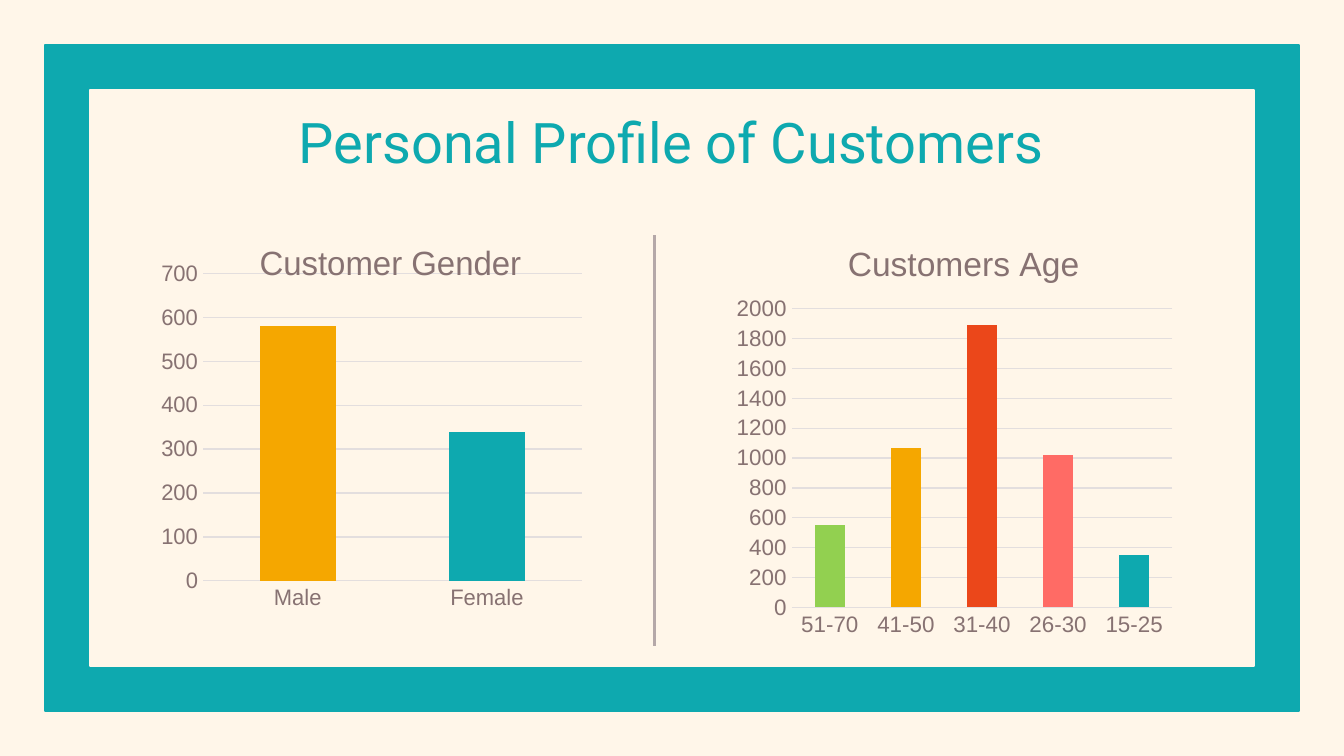
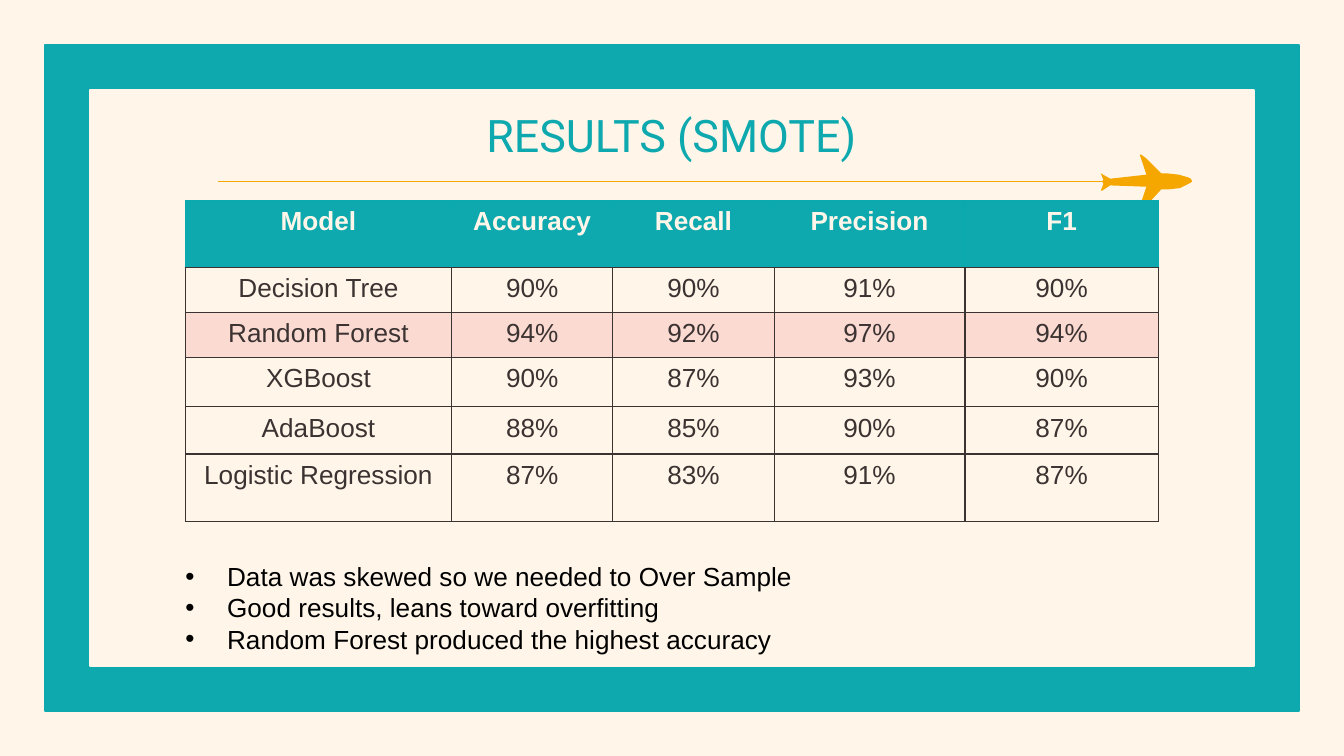
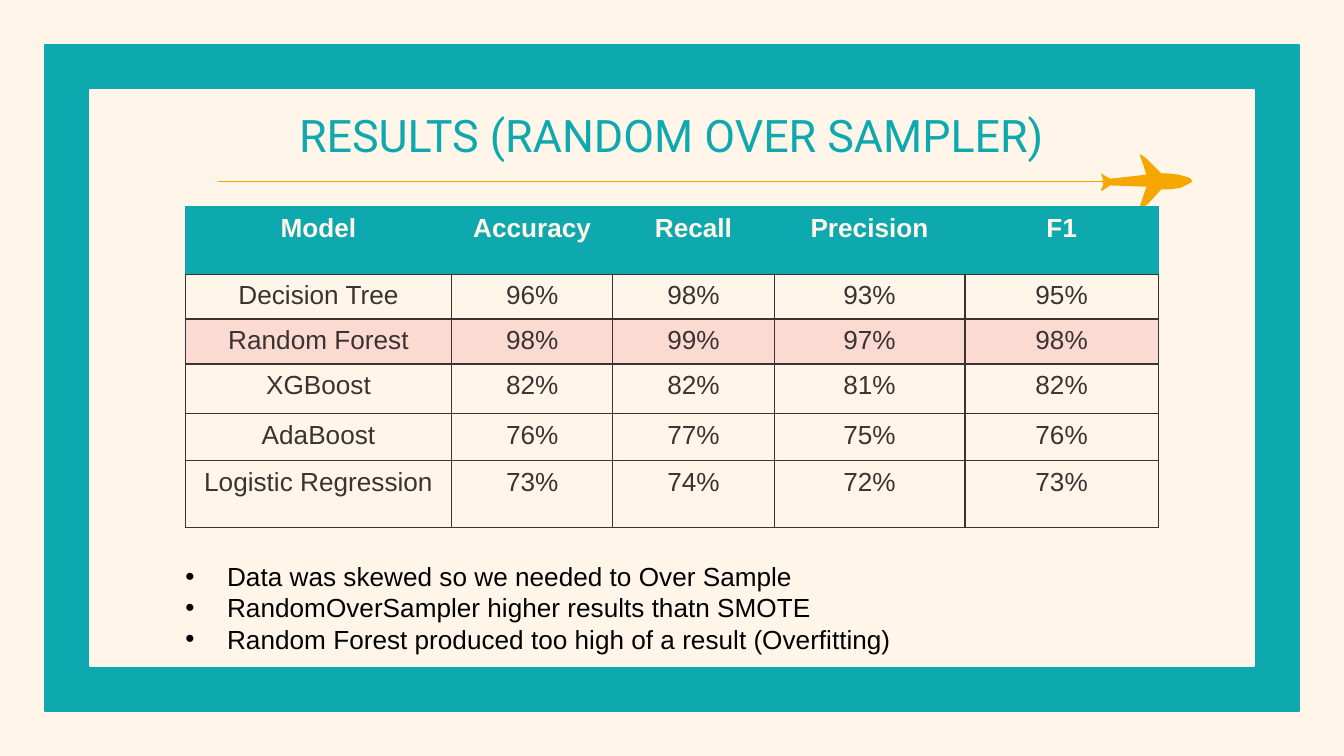
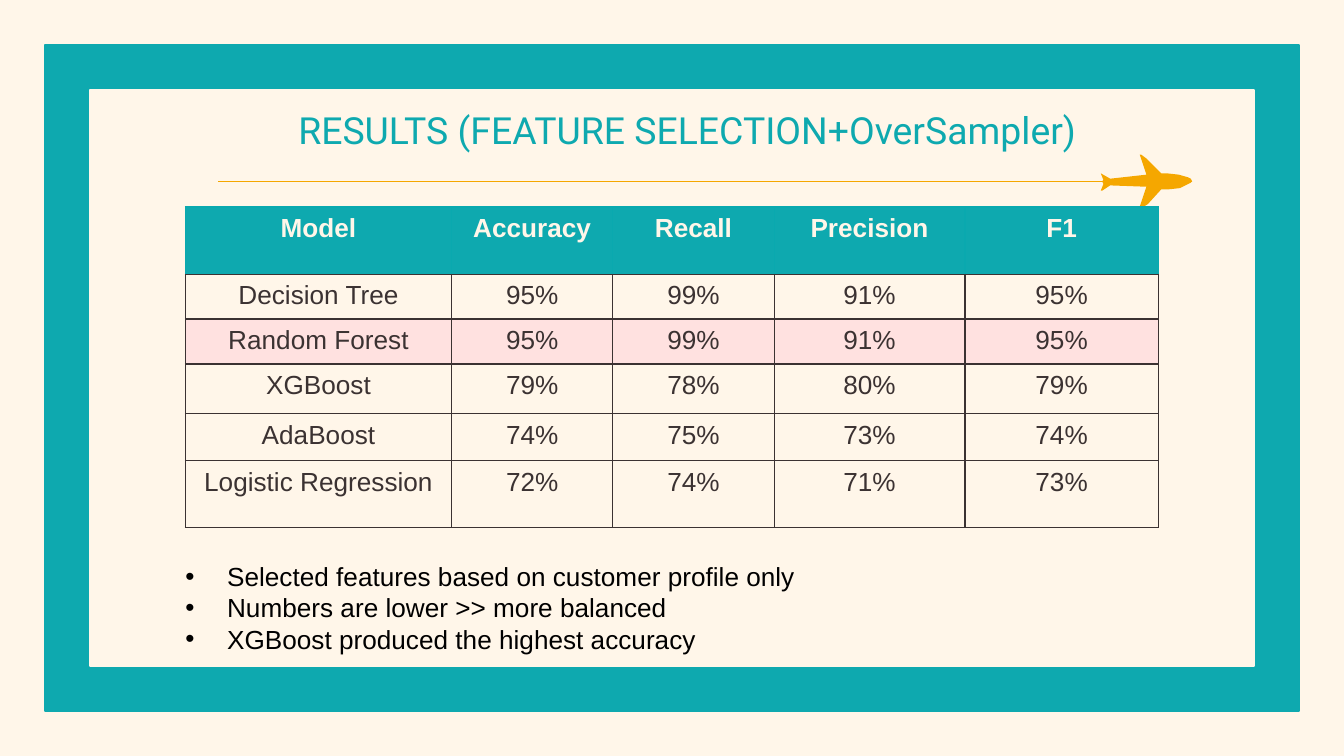
"""Builds the customer profile and model results slides."""
import dataclasses

import lxml.etree
import pptx
import pptx.chart.data
import pptx.dml.color
import pptx.enum.chart
import pptx.enum.shapes
import pptx.enum.text
import pptx.oxml.ns
import pptx.util

qn = pptx.oxml.ns.qn


@dataclasses.dataclass(frozen=True)
class Theme:
    """Colours, fonts and type sizes of the deck."""
    cream: str = "FFF6E9"
    teal: str = "0EA9AF"
    header_edge: str = "0AA9AF"
    orange: str = "F5A700"
    green: str = "92D050"
    red: str = "EB471A"
    coral: str = "FF6B65"
    ink: str = "3B3232"
    black: str = "000000"
    muted: str = "877272"
    divider: str = "B5A8A8"
    gridline: str = "E3DEDE"
    peach: str = "FBDAD1"
    pink: str = "FFE1E0"
    title_font: str = "Roboto"
    text_font: str = "Arial"
    text_size: int = 14
    chart_title_size: int = 18
    axis_size: int = 12
    chart_size: int = 10
    hairline: float = 0.75


THEME = Theme()
COLUMNS = 1000
ROWS = 562.5
MODELS = ["Decision Tree", "Random Forest", "XGBoost", "AdaBoost", "Logistic Regression"]
HEADERS = ["Model", "Accuracy", "Recall", "Precision", "F1"]
HIGHLIGHT_ROW = 1 + MODELS.index("Random Forest")
COLUMN_WIDTHS = [198, 120, 120, 142, 144]
ROW_HEIGHTS = [50, 32, 32, 37, 35, 50]
PLANE = [
    (848, 115), (853, 130), (826, 133), (819, 129), (821, 134), (820, 135),
    (821, 137), (819, 142), (820, 142), (826, 138), (853, 139), (848, 154),
    (849, 155), (854, 152), (864, 141), (869, 141), (878, 140), (886, 136),
    (887, 135), (886, 133), (884, 132), (877, 130), (868, 129), (864, 129),
    (853, 118), (849, 115),
]


def grid(count):
    """Return the length of a number of grid columns or rows."""
    return pptx.util.Inches(count / 100)


def area(*counts):
    """Return left, top, width and height from grid counts."""
    return [grid(count) for count in counts]


def rgb(code):
    """Return the colour for a hex code."""
    return pptx.dml.color.RGBColor.from_string(code)


def style_font(font, face, size, color, bold=False):
    """Set face, size, colour and weight of a font."""
    font.name = face
    font.size = pptx.util.Pt(size)
    font.color.rgb = rgb(color)
    font.bold = bold


def style_line(line, color, width=THEME.hairline):
    """Set colour and width of a line."""
    line.color.rgb = rgb(color)
    line.width = pptx.util.Pt(width)


def add_span(para, text, face, size, color, bold=False):
    """Add one formatted run to a paragraph."""
    span = para.add_run()
    span.text = text
    style_font(span.font, face, size, color, bold)


def move(box, left, top, width, height):
    """Move a placeholder to a grid area."""
    box.left, box.top, box.width, box.height = area(left, top, width, height)


def add_master_panel(deck, slide, inset, color, level):
    """Place a centred rectangle on the master at the given depth."""
    panel = slide.shapes.add_shape(
        pptx.enum.shapes.MSO_SHAPE.RECTANGLE,
        *area(inset, inset, COLUMNS - 2 * inset, ROWS - 2 * inset))
    panel.shadow.inherit = False
    panel.fill.solid()
    panel.fill.fore_color.rgb = rgb(color)
    style_line(panel.line, color)
    panel.name = f"Frame {level}"
    panel.element.nvSpPr.cNvPr.set("id", str(100 + level))
    deck.slide_master.element.cSld.spTree.insert(2 + level, panel.element)


def add_frame(deck, slide):
    """Give the master its background and teal frame."""
    fill = deck.slide_master.background.fill
    fill.solid()
    fill.fore_color.rgb = rgb(THEME.cream)
    add_master_panel(deck, slide, 33.5, THEME.teal, 0)
    add_master_panel(deck, slide, 67, THEME.cream, 1)


def set_title(slide, text, size, width=759):
    """Fill and place the title placeholder."""
    box = slide.shapes.title
    move(box, 120, 70, width, 56)
    frame = box.text_frame
    frame.auto_size = pptx.enum.text.MSO_AUTO_SIZE.NONE
    frame.vertical_anchor = pptx.enum.text.MSO_ANCHOR.TOP
    frame.margin_left = frame.margin_right = grid(10)
    frame.margin_top = frame.margin_bottom = grid(10)
    para = frame.paragraphs[0]
    para.alignment = pptx.enum.text.PP_ALIGN.CENTER
    add_span(para, text, THEME.title_font, size, THEME.teal)


def set_bullets(slide, lines):
    """Fill and place the body placeholder as a bulleted list."""
    box = slide.placeholders[1]
    move(box, 128, 412, 759, 81)
    frame = box.text_frame
    frame.auto_size = pptx.enum.text.MSO_AUTO_SIZE.SHAPE_TO_FIT_TEXT
    frame.vertical_anchor = pptx.enum.text.MSO_ANCHOR.TOP
    for index, line in enumerate(lines):
        para = frame.add_paragraph() if index else frame.paragraphs[0]
        para.alignment = pptx.enum.text.PP_ALIGN.JUSTIFY
        para.space_before = pptx.util.Pt(0)
        add_span(para, line, THEME.text_font, THEME.text_size, THEME.black)
        settings = para._p.get_or_add_pPr()
        settings.set("marL", str(grid(31)))
        settings.set("indent", str(-grid(31)))
        color = lxml.etree.SubElement(settings, qn("a:buClr"))
        lxml.etree.SubElement(color, qn("a:srgbClr"), val=THEME.black)
        lxml.etree.SubElement(settings, qn("a:buFont"), typeface=THEME.text_font)
        lxml.etree.SubElement(settings, qn("a:buChar"), char="•")


def add_line(slide, start, end, color, width=THEME.hairline):
    """Draw a straight line between two grid points."""
    line = slide.shapes.add_connector(
        pptx.enum.shapes.MSO_CONNECTOR.STRAIGHT, *area(*start, *end))
    style_line(line.line, color, width)
    lxml.etree.SubElement(line.element.spPr, qn("a:effectLst"))


def add_plane(slide):
    """Draw the plane with its flight line."""
    builder = slide.shapes.build_freeform(*PLANE[0], scale=grid(1))
    builder.add_line_segments(PLANE[1:], close=True)
    plane = builder.convert_to_shape()
    plane.shadow.inherit = False
    plane.fill.solid()
    plane.fill.fore_color.rgb = rgb(THEME.orange)
    plane.line.fill.background()
    add_line(slide, (838, 135), (162, 135), THEME.orange)


def set_borders(cell, **colors):
    """Set the cell's L, R, T and B borders, dark unless a colour is given."""
    settings = cell._tc.get_or_add_tcPr()
    for index, side in enumerate("LRTB"):
        border = lxml.etree.Element(
            qn(f"a:ln{side}"), w=str(pptx.util.Pt(THEME.hairline)))
        fill = lxml.etree.SubElement(border, qn("a:solidFill"))
        lxml.etree.SubElement(fill, qn("a:srgbClr"), val=colors.get(side, THEME.ink))
        settings.insert(index, border)


def fill_cell(cell, text, fill, header):
    """Write and format one table cell."""
    para = cell.text_frame.paragraphs[0]
    para.alignment = pptx.enum.text.PP_ALIGN.CENTER
    add_span(para, text, THEME.text_font, THEME.text_size,
             THEME.cream if header else THEME.ink, header)
    if fill:
        cell.fill.solid()
        cell.fill.fore_color.rgb = rgb(fill)
    else:
        cell.fill.background()
    set_borders(cell, **(dict.fromkeys("LRT", THEME.header_edge) if header else {}))


def add_scores(slide, top, scores, highlight):
    """Add the table of model scores with one highlighted row."""
    rows = [HEADERS]
    rows += [[model] + [f"{score}%" for score in values]
             for model, values in zip(MODELS, scores)]
    table = slide.shapes.add_table(
        len(rows), len(HEADERS),
        *area(138, top, sum(COLUMN_WIDTHS), sum(ROW_HEIGHTS))).table
    table.horz_banding = False
    for column, width in zip(table.columns, COLUMN_WIDTHS):
        column.width = grid(width)
    for row, height in zip(table.rows, ROW_HEIGHTS):
        row.height = grid(height)
    fills = {0: THEME.teal, HIGHLIGHT_ROW: highlight}
    for row_index, row in enumerate(rows):
        for column_index, text in enumerate(row):
            fill_cell(table.cell(row_index, column_index), text,
                      fills.get(row_index), row_index == 0)


def set_layout(parent, position, **values):
    """Give a chart part a manual layout."""
    for old in parent.findall(qn("c:layout")):
        parent.remove(old)
    layout = lxml.etree.Element(qn("c:layout"))
    manual = lxml.etree.SubElement(layout, qn("c:manualLayout"))
    for name, value in values.items():
        lxml.etree.SubElement(manual, qn(f"c:{name}"), val=str(value))
    parent.insert(position, layout)


def style_axes(chart, maximum, step):
    """Format the category and value axes."""
    for axis in (chart.category_axis, chart.value_axis):
        axis.major_tick_mark = pptx.enum.chart.XL_TICK_MARK.NONE
        axis.minor_tick_mark = pptx.enum.chart.XL_TICK_MARK.NONE
        style_font(axis.tick_labels.font, THEME.text_font, THEME.axis_size, THEME.muted)
    style_line(chart.category_axis.format.line, THEME.gridline)
    values = chart.value_axis
    values.minimum_scale = 0
    values.maximum_scale = maximum
    values.major_unit = step
    values.format.line.fill.background()
    style_line(values.major_gridlines.format.line, THEME.gridline)


def add_bars(slide, place, kind, title, bars, scale, title_at, plot_at):
    """Add a column chart whose bars are (category, value, colour)."""
    names, values, colors = zip(*bars)
    data = pptx.chart.data.CategoryChartData()
    data.categories = names
    data.add_series("Series 1", values)
    chart = slide.shapes.add_chart(kind, *area(*place), data).chart
    style_font(chart.font, THEME.text_font, THEME.chart_size, THEME.ink)
    chart.has_legend = False
    chart.has_title = True
    add_span(chart.chart_title.text_frame.paragraphs[0], title,
             THEME.text_font, THEME.chart_title_size, THEME.muted)
    chart.chart_title.include_in_layout = False
    style_axes(chart, *scale)
    plot = chart.plots[0]
    plot.vary_by_categories = False
    plot.gap_width = 150
    series = plot.series[0]
    series.format.fill.solid()
    series.format.fill.fore_color.rgb = rgb(THEME.orange)
    for index, color in enumerate(colors):
        fill = series.points[index].format.fill
        fill.solid()
        fill.fore_color.rgb = rgb(color)
    modes = {"xMode": "edge", "yMode": "edge"}
    set_layout(chart.element.find(".//" + qn("c:title")), 1,
               **modes, **dict(zip("xy", title_at)))
    set_layout(chart.element.find(".//" + qn("c:plotArea")), 0,
               layoutTarget="inner", **modes, **dict(zip("xywh", plot_at)))


def add_profile(slide):
    """Fill the customer profile slide."""
    kinds = pptx.enum.chart.XL_CHART_TYPE
    set_title(slide, "Personal Profile of Customers", 30)
    add_bars(slide, (120, 165, 319, 322), kinds.COLUMN_STACKED, "Customer Gender",
             [("Male", 580, THEME.orange), ("Female", 340, THEME.teal)],
             (700, 100), (0.2, 0.03), (0.08, 0.12, 0.9, 0.71))
    add_line(slide, (487, 175), (487, 481), THEME.divider, 1.5)
    add_bars(slide, (542, 159, 337, 322), kinds.COLUMN_CLUSTERED, "Customers Age",
             [("51-70", 550, THEME.green), ("41-50", 1070, THEME.orange),
              ("31-40", 1890, THEME.red), ("26-30", 1020, THEME.coral),
              ("15-25", 350, THEME.teal)],
             (2000, 200), (0.25, 0.05), (0.14, 0.22, 0.84, 0.69))


def add_results(deck, title, scores, bullets, size=24, width=759, top=154,
                highlight=THEME.peach):
    """Add a results slide with plane, score table and bullets."""
    slide = deck.slides.add_slide(deck.slide_layouts[1])
    set_title(slide, title, size, width)
    add_plane(slide)
    set_bullets(slide, bullets)
    add_scores(slide, top, scores, highlight)


def main():
    """Build and save the deck."""
    deck = pptx.Presentation()
    deck.slide_width, deck.slide_height = grid(COLUMNS), grid(ROWS)
    profile = deck.slides.add_slide(deck.slide_layouts[5])
    add_frame(deck, profile)
    add_profile(profile)
    add_results(
        deck, "RESULTS (SMOTE)",
        [(90, 90, 91, 90), (94, 92, 97, 94), (90, 87, 93, 90),
         (88, 85, 90, 87), (87, 83, 91, 87)],
        ["Data was skewed so we needed to Over Sample",
         "Good results, leans toward overfitting",
         "Random Forest produced the highest accuracy"],
        top=149)
    add_results(
        deck, "RESULTS (RANDOM OVER SAMPLER)",
        [(96, 98, 93, 95), (98, 99, 97, 98), (82, 82, 81, 82),
         (76, 77, 75, 76), (73, 74, 72, 73)],
        ["Data was skewed so we needed to Over Sample",
         "RandomOverSampler higher results thatn SMOTE",
         "Random Forest produced too high of a result (Overfitting)"])
    add_results(
        deck, "RESULTS (FEATURE SELECTION+OverSampler)",
        [(95, 99, 91, 95), (95, 99, 91, 95), (79, 78, 80, 79),
         (74, 75, 73, 74), (72, 74, 71, 73)],
        ["Selected features based on customer profile only",
         "Numbers are lower >> more balanced",
         "XGBoost produced the highest accuracy"],
        size=20, width=783, highlight=THEME.pink)
    deck.save("out.pptx")


if __name__ == "__main__":
    main()
